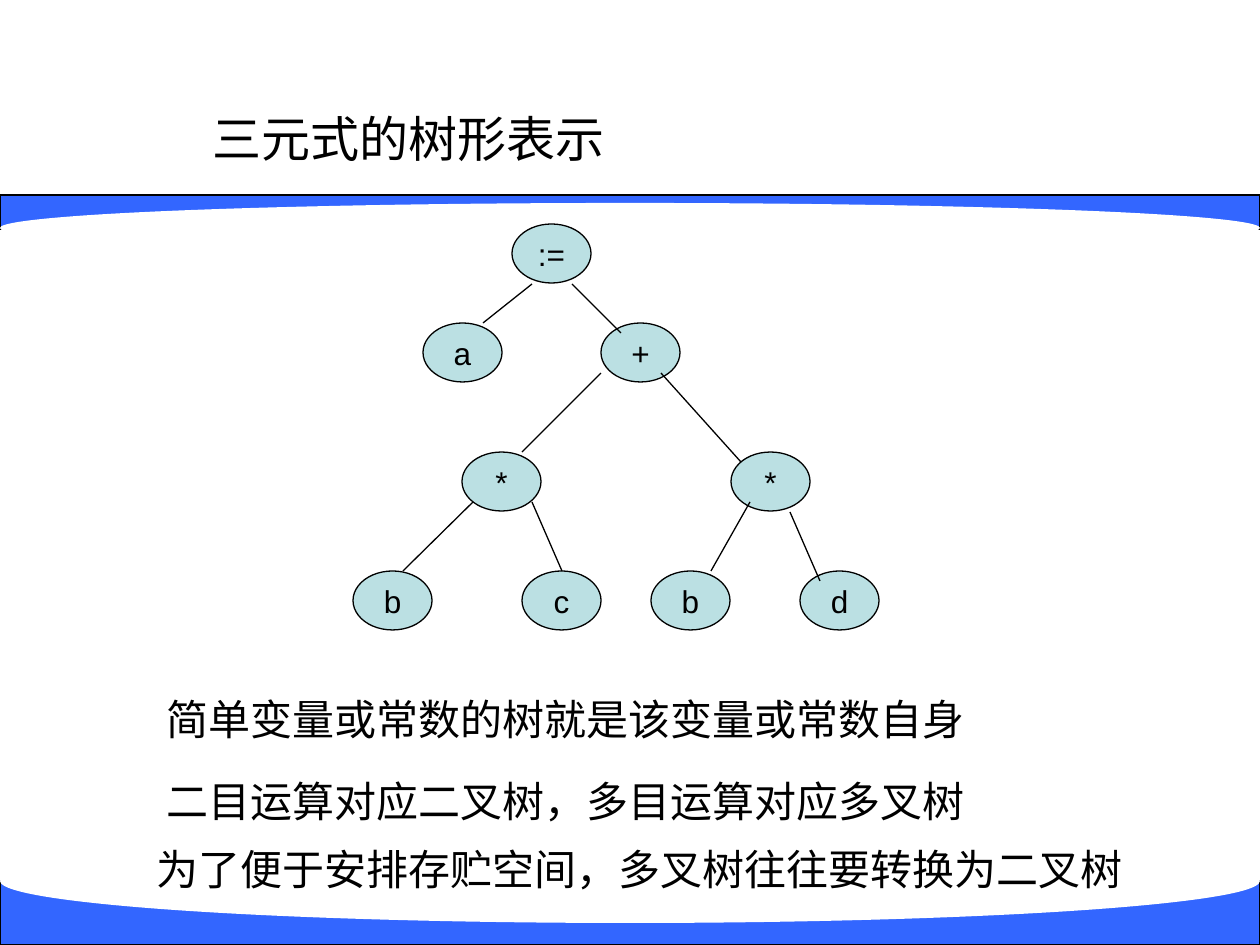
from dataclasses import dataclass

from lxml import etree
from pptx import Presentation
from pptx.dml.color import RGBColor
from pptx.enum.shapes import MSO_CONNECTOR, MSO_SHAPE
from pptx.enum.text import MSO_ANCHOR, MSO_AUTO_SIZE, PP_ALIGN
from pptx.oxml.ns import qn
from pptx.util import Emu, Pt

RECTANGLE = MSO_SHAPE.RECTANGLE
OVAL = MSO_SHAPE.OVAL
STRAIGHT = MSO_CONNECTOR.STRAIGHT
MIDDLE = MSO_ANCHOR.MIDDLE
TOP = MSO_ANCHOR.TOP
LEFT = PP_ALIGN.LEFT
CENTER = PP_ALIGN.CENTER
NO_AUTOFIT = MSO_AUTO_SIZE.NONE
GROW = MSO_AUTO_SIZE.SHAPE_TO_FIT_TEXT

PIXELS_PER_INCH = 126
SLIDE_WIDTH, SLIDE_HEIGHT = 1260, 945
NODE_WIDTH, NODE_HEIGHT = 79, 59
NOTE_HEIGHT = 63
TITLE_ONLY_LAYOUT = 5
BLACK, WHITE, BLUE, PALE_TEAL = "000000", "FFFFFF", "3366FF", "BBE0E3"
LINE_WIDTH = 0.75


@dataclass(frozen=True)
class Band:
    top: int
    height: int
    curve_top: int
    curve_height: int


@dataclass(frozen=True)
class Node:
    label: str
    left: int
    top: int


@dataclass(frozen=True)
class Edge:
    begin_x: int
    begin_y: int
    end_x: int
    end_y: int


@dataclass(frozen=True)
class Note:
    text: str
    left: int
    top: int
    width: int


BANDS = [Band(195, 34, 203, 50), Band(881, 64, 839, 84)]

NODES = [
    Node(":=", 512, 224),
    Node("a", 423, 323),
    Node("+", 601, 323),
    Node("*", 462, 452),
    Node("*", 731, 452),
    Node("b", 353, 571),
    Node("c", 522, 571),
    Node("b", 651, 571),
    Node("d", 800, 571),
]

EDGES = [
    Edge(403, 571, 473, 502),
    Edge(532, 502, 562, 571),
    Edge(750, 502, 711, 571),
    Edge(790, 512, 820, 581),
    Edge(601, 373, 522, 452),
    Edge(661, 373, 741, 462),
    Edge(532, 284, 483, 323),
    Edge(572, 284, 621, 333),
]

NOTES = [
    Note("简单变量或常数的树就是该变量或常数自身", 154, 687, 823),
    Note("二目运算对应二叉树，多目运算对应多叉树", 154, 769, 823),
    Note("为了便于安排存贮空间，多叉树往往要转换为二叉树", 144, 837, 992),
]


def px(length: int) -> Emu:
    return Emu(round(length * 914400 / PIXELS_PER_INCH))


def color(value: str) -> RGBColor:
    return RGBColor.from_string(value)


def write_text(shape, text: str, *, size: int, align=LEFT, anchor=MIDDLE,
               wrap: bool = False, auto_size=NO_AUTOFIT) -> None:
    frame = shape.text_frame
    frame.word_wrap = wrap
    frame.auto_size = auto_size
    frame.vertical_anchor = anchor
    paragraph = frame.paragraphs[0]
    paragraph.alignment = align
    run = paragraph.add_run()
    run.text = text
    run.font.name = "Arial"
    run.font.size = Pt(size)
    run.font.color.rgb = color(BLACK)


def draw_shape(slide, kind, left: int, top: int, width: int, height: int,
               fill: str, outlined: bool = True):
    shape = slide.shapes.add_shape(kind, px(left), px(top), px(width), px(height))
    shape.shadow.inherit = False
    shape.fill.solid()
    shape.fill.fore_color.rgb = color(fill)
    if outlined:
        shape.line.color.rgb = color(BLACK)
        shape.line.width = Pt(LINE_WIDTH)
    else:
        shape.line.fill.background()
    return shape


def draw_band(slide, band: Band) -> None:
    draw_shape(slide, RECTANGLE, 0, band.top, SLIDE_WIDTH, band.height, BLUE)
    draw_shape(slide, OVAL, 0, band.curve_top, SLIDE_WIDTH, band.curve_height,
               WHITE, outlined=False)


def draw_title(slide, text: str) -> None:
    title = slide.shapes.title
    title.left, title.top = px(200), px(103)
    title.width, title.height = px(513), px(69)
    write_text(title, text, size=28, wrap=True)


def draw_node(slide, node: Node) -> None:
    shape = draw_shape(slide, OVAL, node.left, node.top, NODE_WIDTH, NODE_HEIGHT, PALE_TEAL)
    write_text(shape, node.label, size=18, align=CENTER)


def draw_edge(slide, edge: Edge) -> None:
    connector = slide.shapes.add_connector(
        STRAIGHT, px(edge.begin_x), px(edge.begin_y), px(edge.end_x), px(edge.end_y))
    connector.line.color.rgb = color(BLACK)
    connector.line.width = Pt(LINE_WIDTH)
    etree.SubElement(connector._element.spPr, qn("a:effectLst"))


def draw_note(slide, note: Note) -> None:
    box = slide.shapes.add_textbox(px(note.left), px(note.top), px(note.width), px(NOTE_HEIGHT))
    write_text(box, note.text, size=24, anchor=TOP, auto_size=GROW)


def main() -> None:
    presentation = Presentation()
    presentation.slide_width = px(SLIDE_WIDTH)
    presentation.slide_height = px(SLIDE_HEIGHT)
    slide = presentation.slides.add_slide(presentation.slide_layouts[TITLE_ONLY_LAYOUT])
    for band in BANDS:
        draw_band(slide, band)
    draw_title(slide, "三元式的树形表示")
    for node in NODES:
        draw_node(slide, node)
    for edge in EDGES:
        draw_edge(slide, edge)
    for note in NOTES:
        draw_note(slide, note)
    presentation.save("out.pptx")


if __name__ == "__main__":
    main()
